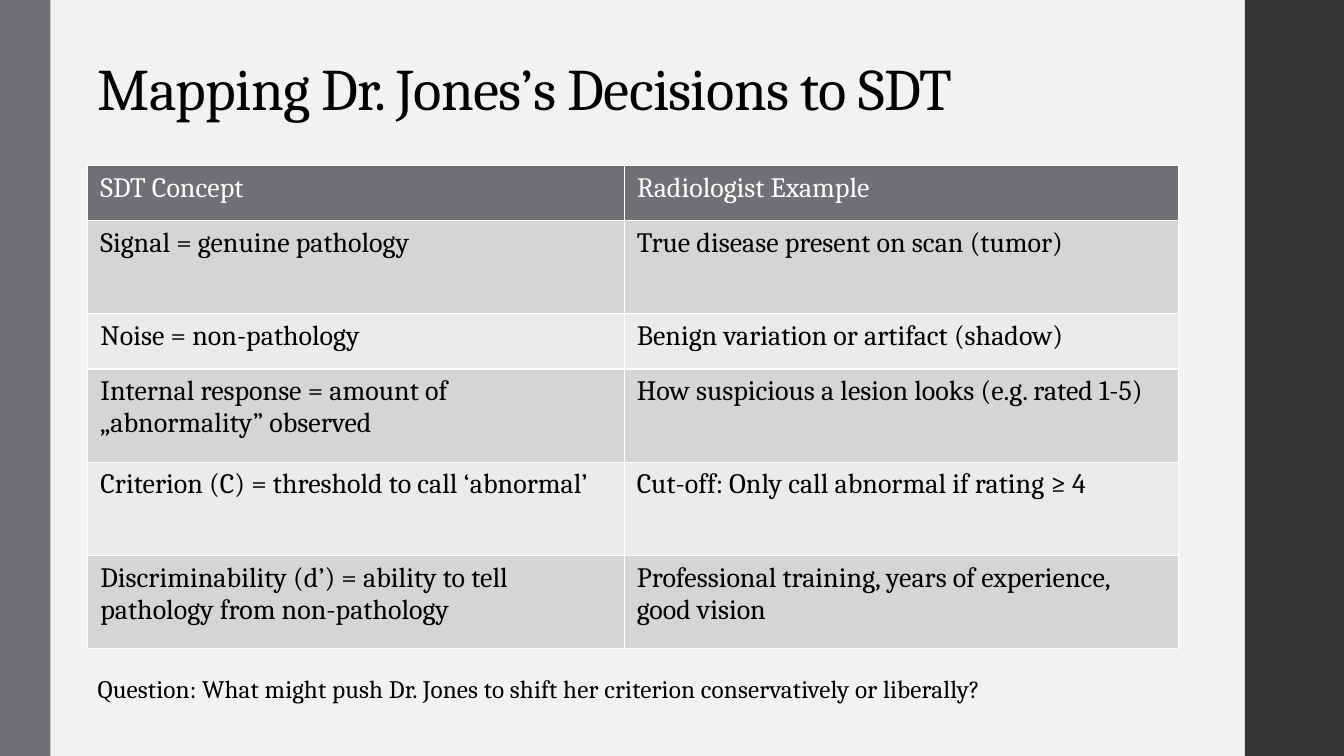
from lxml.etree import SubElement
from pptx import Presentation
from pptx.dml.color import RGBColor
from pptx.enum.shapes import MSO_SHAPE
from pptx.enum.text import MSO_ANCHOR
from pptx.oxml.ns import qn
from pptx.util import Cm, Pt

COLORS = {
    "background": "F2F2F2",
    "right bar": "353537",
    "gray": "6F6F74",
    "dark band": "D5D5D6",
    "light band": "EBEBEB",
    "text": "000000",
    "white": "FFFFFF",
}


def color(name):
    return RGBColor.from_string(COLORS[name])


def write(frame, text, size, ink="text", line=1.0, before=0, after=0, tracking=0):
    """Put one formatted paragraph into a text frame."""
    frame.word_wrap = True
    para = frame.paragraphs[0]
    para.line_spacing = line
    para.space_before, para.space_after = Pt(before), Pt(after)
    span = para.add_run()
    span.text = text
    span.font.name = "Cambria"
    span.font.size = Pt(size)
    span.font.bold = False
    span.font.color.rgb = color(ink)
    if tracking:
        span.font._element.set("spc", str(round(tracking * 100)))


# Deck and page
deck = Presentation()
deck.slide_width, deck.slide_height = Cm(33.87), Cm(19.05)
page = deck.slides.add_slide(deck.slide_layouts[6])
page.background.fill.solid()
page.background.fill.fore_color.rgb = color("background")

# Side bars
for left, width, fill in [(31.37, 2.5, "right bar"), (0, 1.27, "gray")]:
    bar = page.shapes.add_shape(
        MSO_SHAPE.RECTANGLE, Cm(left), 0, Cm(width), deck.slide_height)
    bar.shadow.inherit = False
    bar.fill.solid()
    bar.fill.fore_color.rgb = color(fill)
    bar.line.fill.background()

# Title
title = page.shapes.add_textbox(Cm(2.21), 0, Cm(28.22), Cm(3.2))
title.text_frame.vertical_anchor = MSO_ANCHOR.BOTTOM
write(title.text_frame, "Mapping Dr. Jones’s Decisions to SDT", 42,
      line=0.85, tracking=-0.5)

# Table of concepts and examples
rows = [
    ("SDT Concept", "Radiologist Example"),
    ("Signal = genuine pathology", "True disease present on scan (tumor)"),
    ("Noise = non-pathology", "Benign variation or artifact (shadow)"),
    ("Internal response = amount of „abnormality” observed",
     "How suspicious a lesion looks (e.g. rated 1-5)"),
    ("Criterion (C) = threshold to call ‘abnormal’",
     "Cut-off: Only call abnormal if rating ≥ 4"),
    ("Discriminability (d’) = ability to tell pathology from non-pathology",
     "Professional training, years of experience, good vision"),
]
row_heights = [1.39, 2.35, 1.39, 2.35, 2.35, 2.35]
column_widths = [13.52, 13.96]
table = page.shapes.add_table(
    len(rows), len(column_widths), Cm(2.21), Cm(4.17),
    Cm(sum(column_widths)), Cm(sum(row_heights))).table
for column, width in zip(table.columns, column_widths):
    column.width = Cm(width)

for row_number, (texts, height) in enumerate(zip(rows, row_heights)):
    table.rows[row_number].height = Cm(height)
    if row_number == 0:
        fill, ink = "gray", "white"
    else:
        fill, ink = ("dark band" if row_number % 2 else "light band"), "text"
    for column_number, text in enumerate(texts):
        cell = table.cell(row_number, column_number)
        cell.margin_left = cell.margin_right = Cm(0.32)
        cell.margin_top = cell.margin_bottom = Cm(0.16)
        write(cell.text_frame, text, 20, ink)
        # Borders come before the fill in the cell properties
        properties = cell._tc.get_or_add_tcPr()
        for side in ("a:lnL", "a:lnR", "a:lnT", "a:lnB"):
            border = SubElement(properties, qn(side), w=str(Pt(1)))
            solid = SubElement(border, qn("a:solidFill"))
            SubElement(solid, qn("a:srgbClr"), val=COLORS["white"])
        cell.fill.solid()
        cell.fill.fore_color.rgb = color(fill)

# Closing question
question = page.shapes.add_textbox(Cm(2.21), Cm(16.89), Cm(27.08), Cm(1.65))
write(question.text_frame,
      "Question: What might push Dr. Jones to shift her criterion "
      "conservatively or liberally?",
      18, line=0.95, before=14, after=2, tracking=0.1)

deck.save("out.pptx")
